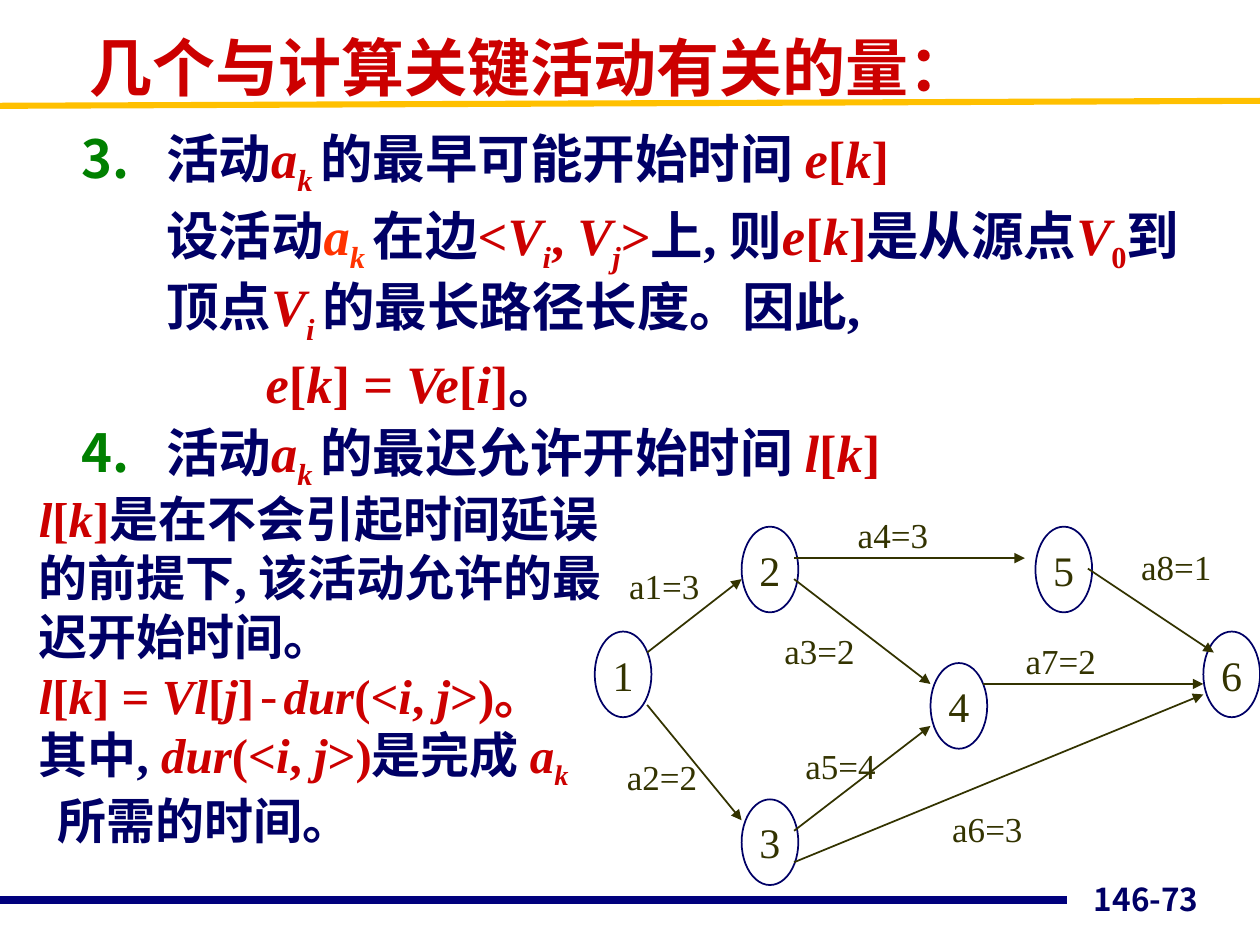
from lxml import etree
from pptx import Presentation
from pptx.dml.color import RGBColor
from pptx.enum.shapes import MSO_CONNECTOR, MSO_SHAPE
from pptx.enum.text import MSO_ANCHOR, MSO_AUTO_SIZE, PP_ALIGN
from pptx.oxml.ns import qn
from pptx.util import Inches, Pt

W, H = 10, 7.5
NAVY, RED, ORANGE, GREEN, OLIVE = "000066", "CC0000", "FF3300", "008000", "333300"
SERIF, SANS = "Times New Roman", "Noto Sans CJK JP"

# Run codes: colour, italic, subscript
STYLES = {
    "n": (NAVY, False, False),
    "r": (RED, False, False),
    "i": (RED, True, False),
    "s": (RED, True, True),
    "z": (RED, False, True),
    "o": (ORANGE, True, False),
    "q": (ORANGE, True, True),
}


def rgb(value):
    return RGBColor.from_string(value)


def child(parent, tag, **attrs):
    return etree.SubElement(parent, qn(tag), **attrs)


def add_run(p, text, size, color, font=SERIF, bold=False, italic=False, sub=False):
    r = p.add_run()
    r.text = text
    f = r.font
    f.size, f.name, f.bold, f.italic = Pt(size), font, bold, italic
    f.color.rgb = rgb(color)
    if sub:
        r._r.get_or_add_rPr().set("baseline", "-25000")


def add_math(p, markup, size):
    """Add runs from 'code:text' pieces parted by bars."""
    for piece in markup.split("|"):
        code, text = piece.split(":", 1)
        if code == "c":
            add_run(p, text, size, RED, font="Courier New")
        else:
            color, italic, sub = STYLES[code]
            add_run(p, text, size, color, bold=True, italic=italic, sub=sub)


def indent(p, left, hanging=0, number=None):
    pPr = p._p.get_or_add_pPr()
    pPr.set("marL", str(Inches(left)))
    pPr.set("indent", str(Inches(-hanging)))
    if number:
        child(child(pPr, "a:buClr"), "a:srgbClr", val=GREEN)
        child(pPr, "a:buFont", typeface=SANS)
        child(pPr, "a:buAutoNum", type="arabicPeriod", startAt=str(number))


def text_box(slide, box, wrap=True, anchor=MSO_ANCHOR.TOP):
    tf = slide.shapes.add_textbox(*map(Inches, box)).text_frame
    tf.word_wrap, tf.vertical_anchor = wrap, anchor
    return tf


def paragraphs(tf, count):
    return [tf.paragraphs[0]] + [tf.add_paragraph() for _ in range(count - 1)]


def add_line(slide, start, end, color, width, arrow=False):
    c = slide.shapes.add_connector(MSO_CONNECTOR.STRAIGHT, *map(Inches, (*start, *end)))
    c.line.color.rgb, c.line.width = rgb(color), Pt(width)
    if arrow:
        child(c.line._get_or_add_ln(), "a:tailEnd", type="triangle")
    child(c._element.spPr, "a:effectLst")


def add_title(slide, box, text):
    sp = slide.shapes.title
    sp.left, sp.top, sp.width, sp.height = map(Inches, box)
    tf = sp.text_frame
    tf.auto_size, tf.vertical_anchor = MSO_AUTO_SIZE.NONE, MSO_ANCHOR.MIDDLE
    p = tf.paragraphs[0]
    p.alignment = PP_ALIGN.LEFT
    add_run(p, text, 36, RED, font="Arial", bold=True)


def add_definitions(slide, box):
    # left indent, hanging part, number, text
    rows = [
        (0.67, 0.67, 3, "n:活动|i:a|s:k |n:的最早可能开始时间 |i:e|r:[|i:k|r:]"),
        (0.67, 0, None, "n:设活动|o:a|q:k |n:在边|r:<|i:V|s:i|r:, |i:V|s:j|r:>|n:上, 则"
                        "|i:e|r:[|i:k|r:]|n:是从源点|i:V|z:0|n:到顶点|i:V|s:i "
                        "|n:的最长路径长度。因此,"),
        (1.46, 0, None, "i:e|r:[|i:k|r:] = |i:Ve|r:[|i:i|r:]|n:。"),
        (0.67, 0.67, 4, "n:活动|i:a|s:k |n:的最迟允许开始时间 |i:l|r:[|i:k|r:]"),
    ]
    tf = text_box(slide, box)
    for i, (p, (left, hanging, number, markup)) in enumerate(zip(paragraphs(tf, len(rows)), rows)):
        if i:
            p.space_before = Pt(3)
        indent(p, left, hanging, number)
        add_math(p, markup, 30)


def add_latest_start(slide, box):
    rows = [
        (0, "i:l|r:[|i:k|r:]|n:是在不会引起时间延误的前提下, 该活动允许的最迟开始时间。"),
        (0, "i:l|r:[|i:k|r:] =|i: Vl|r:[|i:j|r:]|c:-|i:dur|r:(<|i:i|r:, |i:j|r:>)。"),
        (0, "n:其中, |i:dur|r:(<|i:i|r:, |i:j|r:>)|n:是完成 |i:a|s:k"),
        (0.15, "n:所需的时间。"),
    ]
    tf = text_box(slide, box)
    for p, (left, markup) in zip(paragraphs(tf, len(rows)), rows):
        indent(p, left)
        add_math(p, markup, 28)


def add_graph(slide, box, cols=32, rows=17):
    left, top, width, height = box
    cw, rh = width / cols, height / rows

    def at(col, row):
        return left + col * cw, top + row * rh

    # Vertices
    for n, cell in enumerate([(0, 5), (7, 0), (7, 13), (16, 6.5), (21, 0), (29, 5)], 1):
        sp = slide.shapes.add_shape(MSO_SHAPE.OVAL, *map(Inches, (*at(*cell), 0.45, 0.68)))
        sp.shadow.inherit = False
        sp.fill.background()
        sp.line.color.rgb, sp.line.width = rgb(NAVY), Pt(1)
        tf = sp.text_frame
        tf.word_wrap, tf.vertical_anchor = False, MSO_ANCHOR.MIDDLE
        tf.paragraphs[0].alignment = PP_ALIGN.CENTER
        add_run(tf.paragraphs[0], str(n), 24, OLIVE)

    # Activities: start, end, label corner
    edges = {
        "a1=3": ((2.5, 6), (7, 2.5), (1, 1.5)),
        "a2=2": ((2.5, 8.5), (7, 14), (0.9, 10.6)),
        "a3=2": ((9.5, 2.5), (16, 7.5), (8.4, 4.6)),
        "a4=3": ((9.5, 1.5), (20.5, 1.5), (11.9, -0.9)),
        "a5=4": ((9.5, 14.5), (16, 9.5), (9.4, 10.1)),
        "a6=3": ((9.5, 16), (29, 8), (16.4, 13.1)),
        "a7=2": ((18.5, 7.5), (29, 7.5), (19.9, 5.1)),
        "a8=1": ((23.5, 2), (29.5, 6), (25.4, 0.6)),
    }
    for label, (start, end, corner) in edges.items():
        add_line(slide, at(*start), at(*end), OLIVE, 1, arrow=True)
        p = text_box(slide, (*at(*corner), 0.77, 0.43), wrap=False).paragraphs[0]
        p.alignment = PP_ALIGN.CENTER
        add_run(p, label, 20, OLIVE)


def add_frame(slide, number):
    add_line(slide, (0, 7.14), (8.47, 7.14), "00007D", 4.5)
    add_line(slide, (0, 0.84), (W, 0.8), "FFC000", 3.5)
    p = text_box(slide, (7.28, 6.83, 2.33, 0.5), anchor=MSO_ANCHOR.BOTTOM).paragraphs[0]
    p.alignment = PP_ALIGN.RIGHT
    add_run(p, number, 18, NAVY, font=SANS, bold=True)


def main():
    prs = Presentation()
    prs.slide_width, prs.slide_height = Inches(W), Inches(H)
    slide = prs.slides.add_slide(prs.slide_layouts[5])
    add_frame(slide, "146-73")
    add_title(slide, (0.61, 0.24, 8.49, 0.58), "几个与计算关键活动有关的量：")
    add_definitions(slide, (0.55, 0.95, 8.92, 3))
    add_graph(slide, (4.72, 4.18, 5.33, 2.83))
    add_latest_start(slide, (0.21, 3.83, 4.71, 3.4))
    prs.save("out.pptx")


if __name__ == "__main__":
    main()
